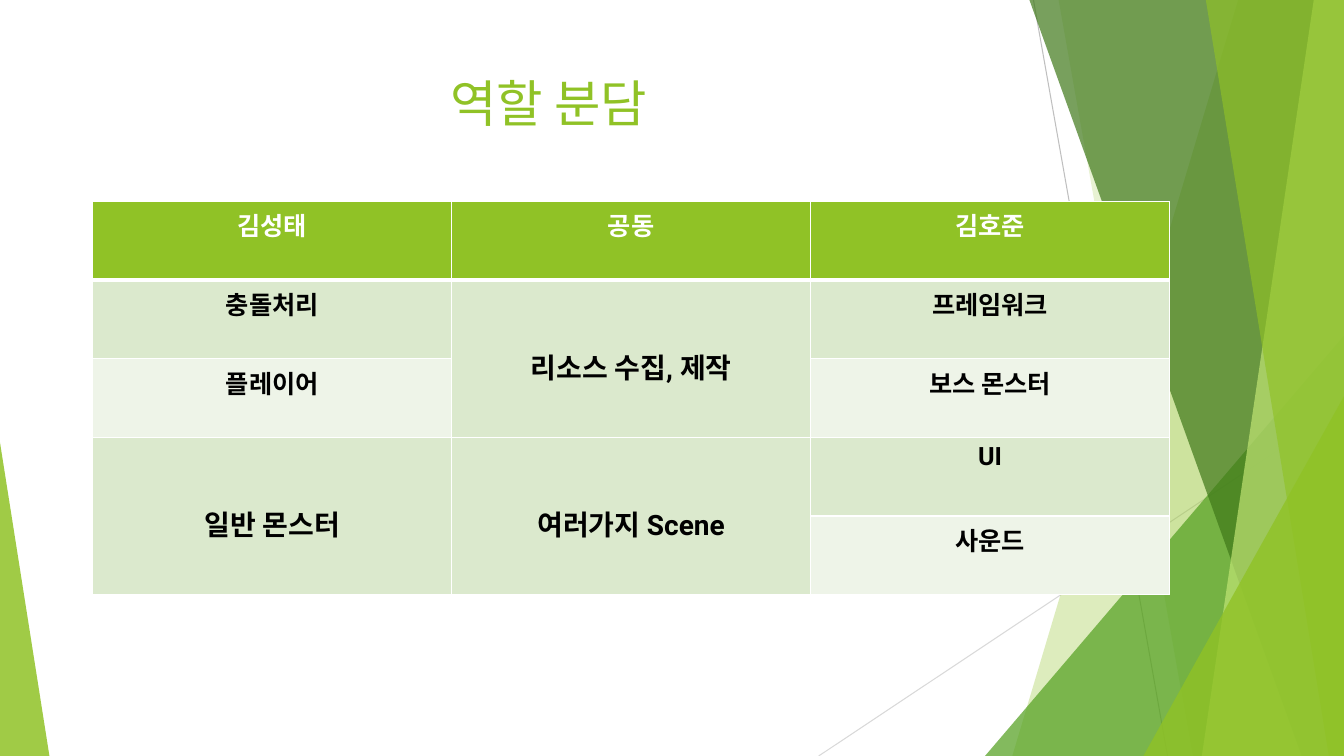
from dataclasses import dataclass

from lxml.etree import SubElement
from pptx import Presentation
from pptx.dml.color import RGBColor
from pptx.enum.shapes import MSO_CONNECTOR as CONN, MSO_SHAPE as SHAPE
from pptx.enum.text import MSO_ANCHOR as ANCHOR, PP_ALIGN as ALIGN
from pptx.oxml.ns import qn
from pptx.util import Inches, Pt


@dataclass(frozen=True)
class Theme:
    font: str = "Roboto"
    green: str = "90C226"
    mid_green: str = "54A021"
    dark_green: str = "3F7819"
    lime: str = "C0E474"
    bands: tuple = ("EEF4E8", "DBE9CD")
    white: str = "FFFFFF"
    black: str = "000000"
    grey: str = "BFBFBF"
    light_grey: str = "D9D9D9"
    title_size: int = 36
    cell_size: int = 18
    merged_size: int = 20


class SlideBuilder:
    def __init__(self, slide, theme):
        self.slide = slide
        self.shapes = slide.shapes
        self.theme = theme

    def set_text(self, tf, text, size, color, bold=False):
        """Set centred text in the theme font."""
        tf.text = text
        p = tf.paragraphs[0]
        p.alignment = ALIGN.CENTER
        for r in p.runs:
            r.font.name = self.theme.font
            r.font.size = Pt(size)
            r.font.bold = bold
            r.font.color.rgb = RGBColor.from_string(color)

    def title(self, text, left, top, width, height):
        s = self.shapes.title
        s.left, s.top = Inches(left), Inches(top)
        s.width, s.height = Inches(width), Inches(height)
        s.text_frame.vertical_anchor = ANCHOR.TOP
        self.set_text(s.text_frame, text, self.theme.title_size, self.theme.green)

    def line(self, x1, y1, x2, y2, color):
        s = self.shapes.add_connector(
            CONN.STRAIGHT, Inches(x1), Inches(y1), Inches(x2), Inches(y2))
        s.line.color.rgb = RGBColor.from_string(color)
        s.line.width = Pt(0.75)
        SubElement(s._element.spPr, qn("a:effectLst"))

    def paint(self, s, color, opacity):
        """Fill a shape with a see-through colour; opacity is in percent."""
        s.shadow.inherit = False
        s.line.fill.background()
        s.fill.solid()
        s.fill.fore_color.rgb = RGBColor.from_string(color)
        clr = s._element.spPr.find(qn("a:solidFill"))[0]
        SubElement(clr, qn("a:alpha"), val=str(opacity * 1000))

    def right_band(self, top_x, bottom_x, color, opacity):
        """Draw a full-height band from a slanted left edge to the slide's right edge."""
        right, bottom = Inches(13.33), Inches(7.5)
        builder = self.shapes.build_freeform(Inches(top_x), 0)
        builder.add_line_segments(
            [(right, 0), (right, bottom), (Inches(bottom_x), bottom)])
        self.paint(builder.convert_to_shape(), color, opacity)

    def triangle(self, left, top, width, height, apex, color, opacity):
        s = self.shapes.add_shape(SHAPE.ISOSCELES_TRIANGLE, Inches(left),
                                  Inches(top), Inches(width), Inches(height))
        s.adjustments[0] = apex
        self.paint(s, color, opacity)

    def borders(self, cell, widths):
        """Give a cell white borders; widths are points for left, right, top, bottom."""
        tc_pr = cell._tc.get_or_add_tcPr()
        for side, width in zip("LRTB", widths):
            ln = SubElement(tc_pr, qn(f"a:ln{side}"), w=str(Pt(width)))
            fill = SubElement(ln, qn("a:solidFill"))
            SubElement(fill, qn("a:srgbClr"), val=self.theme.white)

    def table(self, rows, merges, left, top, col_width, row_height):
        t = self.theme
        n_rows, n_cols = len(rows), len(rows[0])
        table = self.shapes.add_table(
            n_rows, n_cols, Inches(left), Inches(top),
            Inches(col_width * n_cols), Inches(row_height * n_rows)).table
        for col in table.columns:
            col.width = Inches(col_width)
        for i, row in enumerate(rows):
            table.rows[i].height = Inches(row_height)
            for j, text in enumerate(row):
                cell = table.cell(i, j)
                header = i == 0
                merged = (i, j) in merges
                self.borders(cell, (1, 1, 3 if i == 1 else 1, 3 if header else 1))
                cell.fill.solid()
                cell.fill.fore_color.rgb = RGBColor.from_string(
                    t.green if header else t.bands[i % 2])
                if merged:
                    cell.merge(table.cell(i + 1, j))
                    cell.vertical_anchor = ANCHOR.MIDDLE
                    cell.margin_top = Inches(0.2)
                self.set_text(cell.text_frame, text,
                              t.merged_size if merged else t.cell_size,
                              t.white if header else t.black, bold=True)


ROLES = [
    ("김성태", "공동", "김호준"),
    ("충돌처리", "리소스 수집, 제작", "프레임워크"),
    ("플레이어", "", "보스 몬스터"),
    ("일반 몬스터", "여러가지 Scene", "UI"),
    ("", "", "사운드"),
]
TWO_ROW_CELLS = {(1, 1), (3, 0), (3, 1)}


def main():
    prs = Presentation()
    prs.slide_width, prs.slide_height = Inches(13.33), Inches(7.5)
    t = Theme()
    b = SlideBuilder(prs.slides.add_slide(prs.slide_layouts[5]), t)

    b.line(10.25, 0, 11.58, 7.5, t.grey)
    b.line(13.33, 4.03, 8.12, 7.5, t.light_grey)
    b.right_band(12.28, 10.04, t.green, 30)
    b.right_band(10.5, 11.83, t.green, 20)
    b.triangle(9.77, 3.33, 3.56, 4.17, 1, t.mid_green, 72)
    b.right_band(10.21, 12.91, t.dark_green, 70)
    b.right_band(13.03, 11.92, t.lime, 70)
    b.right_band(11.96, 13.18, t.green, 65)
    b.triangle(11.34, 3.93, 1.99, 3.57, 1, t.green, 80)
    b.triangle(0, 4.39, 0.49, 3.11, 0, t.green, 85)

    b.title("역할 분담", 0.74, 0.67, 9.4, 1.44)
    b.table(ROLES, TWO_ROW_CELLS, 0.92, 2, 3.56, 0.78)
    prs.save("out.pptx")


if __name__ == "__main__":
    main()
